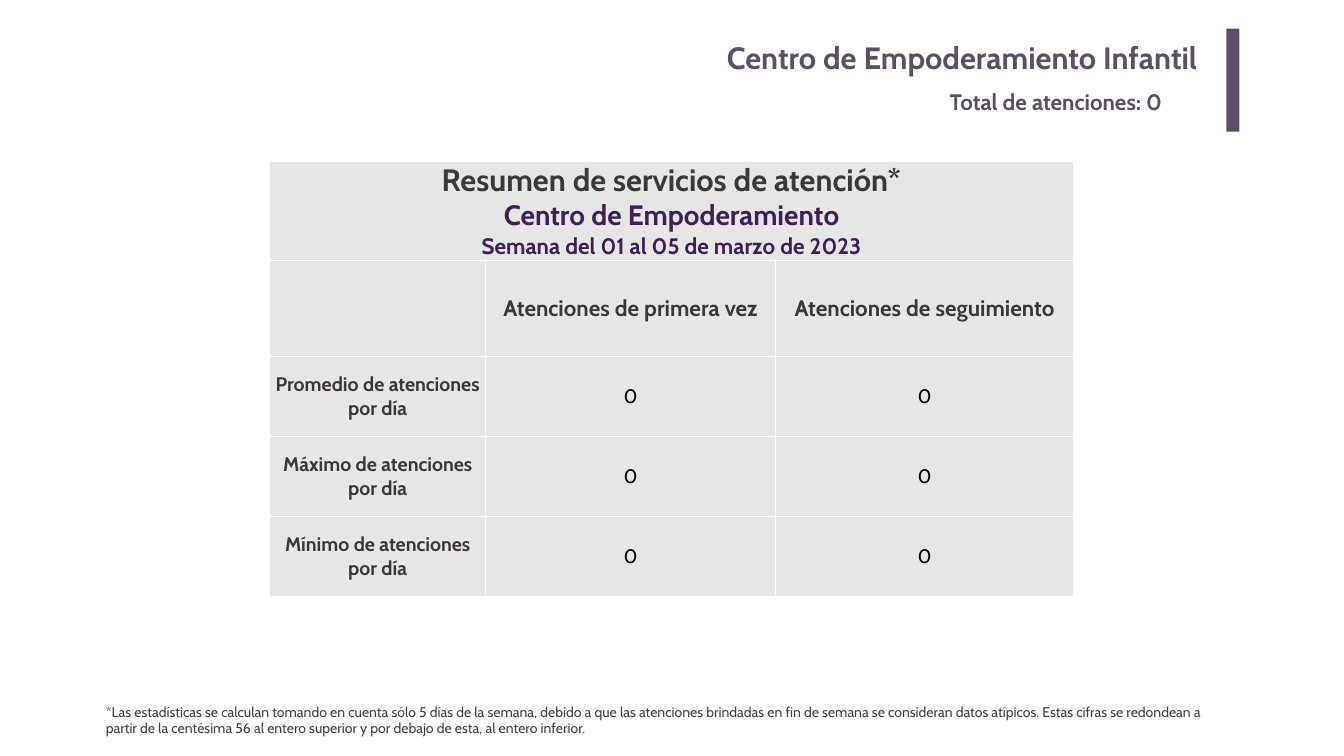
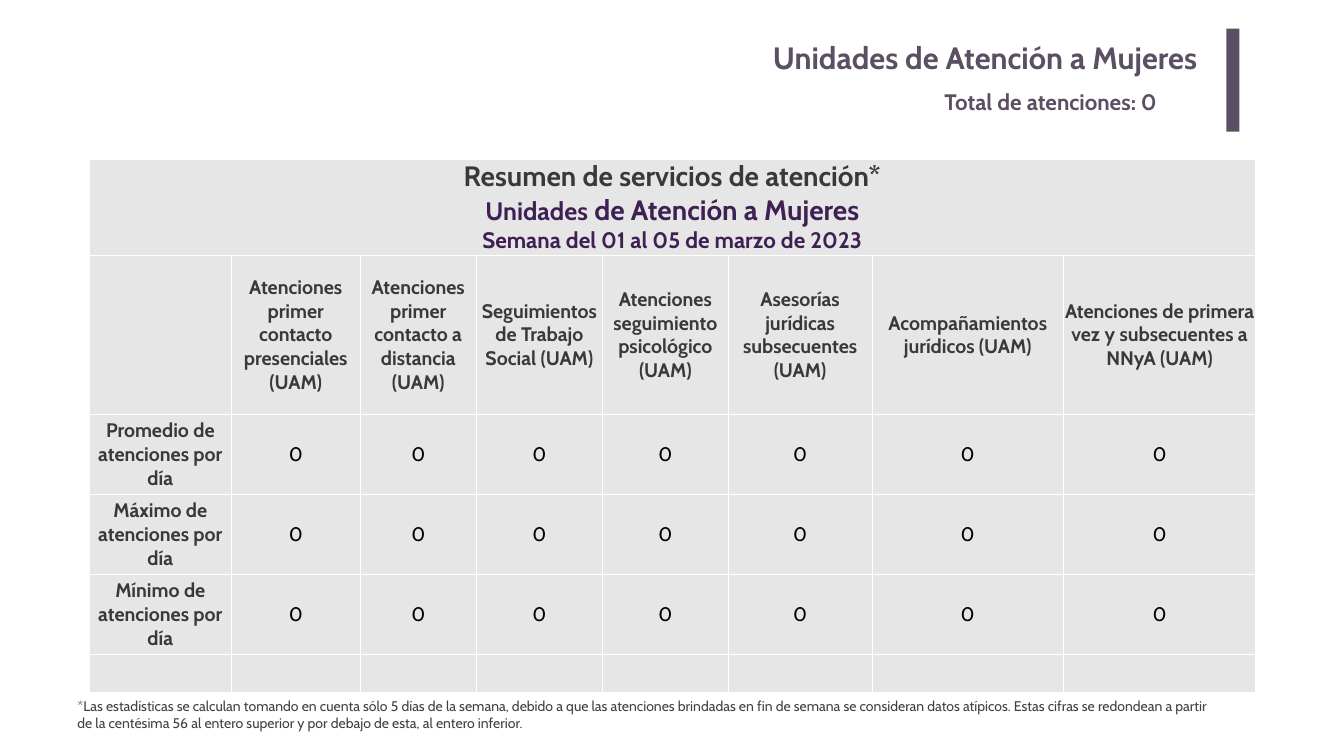
from dataclasses import dataclass

from lxml import etree
from pptx import Presentation
from pptx.dml.color import RGBColor
from pptx.enum import shapes, text
from pptx.oxml import ns
from pptx.util import Pt


@dataclass(frozen=True)
class Theme:
    font: str = "Cabin"
    plum: str = "5B4F63"
    violet: str = "3E2054"
    charcoal: str = "3B3838"
    note_grey: str = "404040"
    black: str = "000000"
    cell_grey: str = "E7E6E6"
    border: str = "FFFFFF"
    title: int = 44
    total: int = 32
    week: int = 32
    label: int = 28
    note: int = 20


theme = Theme()

NOTE = ("*Las estadísticas se calculan tomando en cuenta sólo 5 días de la semana, "
        "debido a que las atenciones brindadas en fin de semana se consideran datos "
        "atípicos. Estas cifras se redondean a partir de la centésima 56 al entero "
        "superior y por debajo de esta, al entero inferior.")
WEEK = "Semana del 01 al 05 de marzo de 2023"
MEASURES = ["Promedio", "Máximo", "Mínimo"]

# A summary line is a list of (words, size) runs.
reports = [
    dict(
        title="Centro de Empoderamiento Infantil",
        total_left=1349.5,
        note_at=(144, 1001, 1608),
        table_at=(385, 230.5),
        columns=[309, 414, 426],
        rows=[138, 138, 114, 114, 114],
        summary=[[("Resumen de servicios de atención*", 44)],
                 [("Centro de Empoderamiento", 40)]],
        header_size=32,
        headers=["Atenciones de primera vez", "Atenciones de seguimiento"],
    ),
    dict(
        title="Unidades de Atención a Mujeres",
        total_left=1342,
        note_at=(103.5, 993, 1639.5),
        table_at=(127.5, 227),
        columns=[203, 184, 166, 180, 180, 205, 274, 274],
        rows=[137.5, 228, 114, 114, 114, 54],  # the last row ends above the note
        summary=[[("Resumen de servicios de atención*", 40)],
                 [("Unidades", 36), (" de Atención a Mujeres", 40)]],
        header_size=28,
        headers=["Atenciones primer contacto presenciales (UAM)",
                 "Atenciones primer contacto a distancia (UAM)",
                 "Seguimientos de Trabajo Social (UAM)",
                 "Atenciones seguimiento psicológico (UAM)",
                 "Asesorías jurídicas subsecuentes (UAM)",
                 "Acompañamientos jurídicos (UAM)",
                 "Atenciones de primera vez y subsecuentes a NNyA (UAM)"],
    ),
]


def write(para, words, size, colour, bold=True, align=text.PP_ALIGN.CENTER):
    """Fill a paragraph with one text, or with several (words, size) runs."""
    spans = [(words, size)] if isinstance(words, str) else words
    para.alignment = align
    para.font.name = theme.font
    para.font.size = Pt(size)
    para.font.bold = bold
    para.font.color.rgb = RGBColor.from_string(colour)
    for span_words, span_size in spans:
        span = para.add_run()
        span.text = span_words
        if span_size != size:
            span.font.size = Pt(span_size)


def style_cell(cell):
    cell.margin_left = cell.margin_right = cell.margin_top = cell.margin_bottom = 0
    cell.vertical_anchor = text.MSO_ANCHOR.MIDDLE
    properties = cell._tc.get_or_add_tcPr()
    for side in ("a:lnL", "a:lnR", "a:lnT", "a:lnB"):
        line = etree.SubElement(properties, ns.qn(side), w=str(Pt(1)))
        fill = etree.SubElement(line, ns.qn("a:solidFill"))
        etree.SubElement(fill, ns.qn("a:srgbClr"), val=theme.border)
    cell.fill.solid()
    cell.fill.fore_color.rgb = RGBColor.from_string(theme.cell_grey)


deck = Presentation()
deck.slide_width, deck.slide_height = Pt(1920), Pt(1080)

for report in reports:
    page = deck.slides.add_slide(deck.slide_layouts[5])

    # Heading: title, total and vertical bar
    title = page.shapes.title
    title.left, title.top, title.width, title.height = Pt(263.5), Pt(48), Pt(1461.5), Pt(73.5)
    frame = title.text_frame
    frame.auto_size = text.MSO_AUTO_SIZE.NONE
    frame.vertical_anchor = text.MSO_ANCHOR.TOP
    frame.margin_left = frame.margin_right = Pt(14.4)
    frame.margin_top = frame.margin_bottom = Pt(7.2)
    write(frame.paragraphs[0], report["title"], theme.title, theme.plum,
          align=text.PP_ALIGN.RIGHT)

    bar = page.shapes.add_shape(shapes.MSO_SHAPE.RECTANGLE,
                                Pt(1752), Pt(41), Pt(18.5), Pt(147))
    bar.shadow.inherit = False
    bar.fill.solid()
    bar.fill.fore_color.rgb = RGBColor.from_string(theme.plum)
    bar.line.fill.background()

    # Summary table
    columns, rows = report["columns"], report["rows"]
    left, top = report["table_at"]
    table = page.shapes.add_table(len(rows), len(columns), Pt(left), Pt(top),
                                  Pt(sum(columns)), Pt(sum(rows))).table
    table.first_row = table.horz_banding = False
    for column, width in zip(table.columns, columns):
        column.width = Pt(width)
    for row, height in zip(table.rows, rows):
        row.height = Pt(height)
    for cell in table.iter_cells():
        style_cell(cell)

    heading = table.cell(0, 0)
    heading.merge(table.cell(0, len(columns) - 1))
    frame = heading.text_frame
    summary, unit = report["summary"]
    write(frame.paragraphs[0], summary, summary[0][1], theme.charcoal)
    write(frame.add_paragraph(), unit, unit[-1][1], theme.violet)
    write(frame.add_paragraph(), WEEK, theme.week, theme.violet)

    for index, header in enumerate(report["headers"], 1):
        write(table.cell(1, index).text_frame.paragraphs[0], header,
              report["header_size"], theme.charcoal)
    for index, measure in enumerate(MEASURES, 2):
        write(table.cell(index, 0).text_frame.paragraphs[0],
              f"{measure} de atenciones por día", theme.label, theme.charcoal)
        for column in range(1, len(columns)):
            write(table.cell(index, column).text_frame.paragraphs[0], "0",
                  theme.label, theme.black, bold=False)

    # Total and footnote
    note_left, note_top, note_width = report["note_at"]
    total_left = report["total_left"]
    for box_at, words, size, colour, bold in [
        ((total_left, 122, 1729.5 - total_left, 46), "Total de atenciones: 0",
         theme.total, theme.plum, True),
        ((note_left, note_top, note_width, 55.5), NOTE,
         theme.note, theme.note_grey, False),
    ]:
        box = page.shapes.add_textbox(*map(Pt, box_at))
        box.text_frame.word_wrap = True
        write(box.text_frame.paragraphs[0], words, size, colour, bold,
              text.PP_ALIGN.LEFT)

deck.save("out.pptx")
